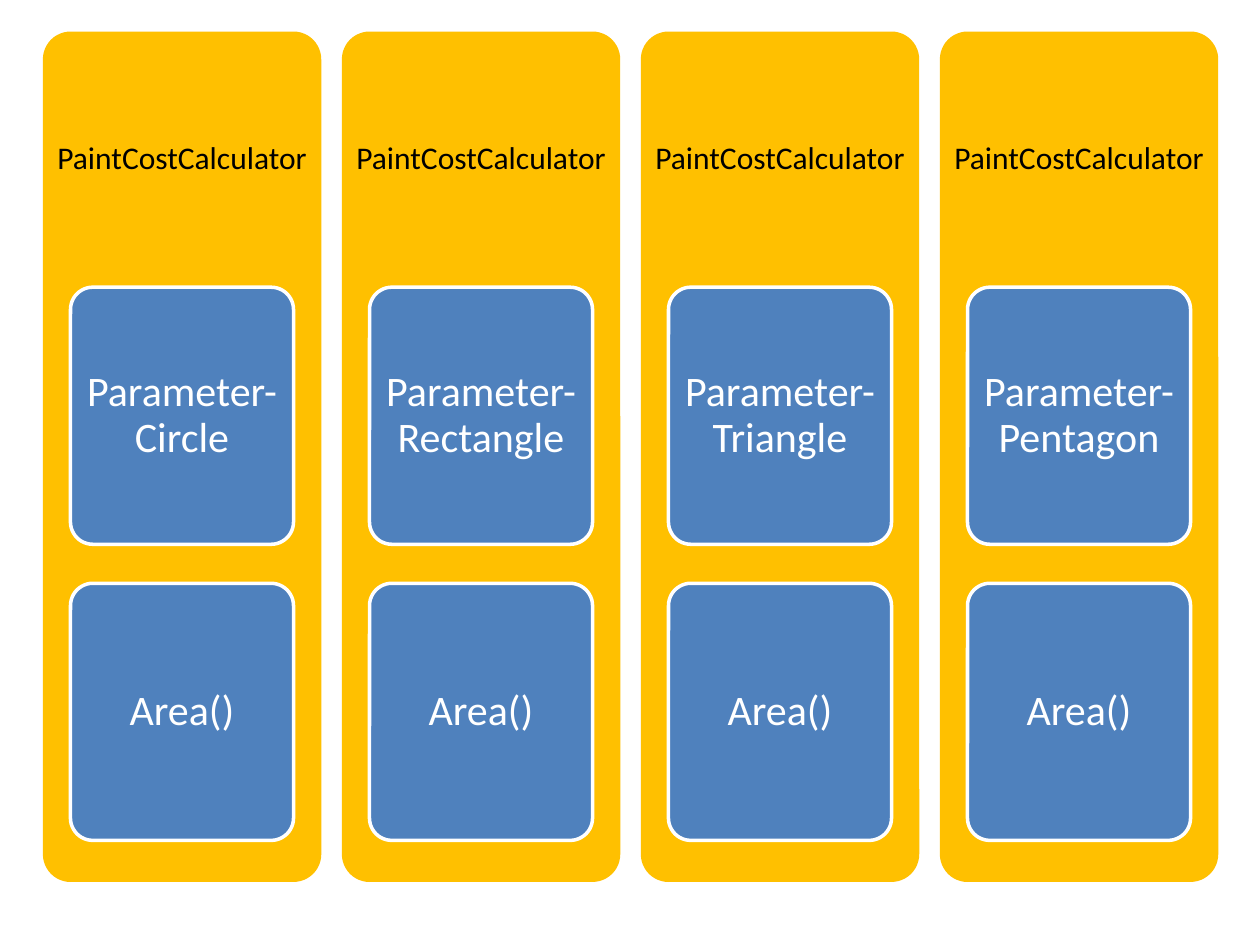
from pptx import Presentation
from pptx.dml.color import RGBColor
from pptx.enum.shapes import MSO_SHAPE
from pptx.enum.text import MSO_ANCHOR, PP_ALIGN
from pptx.util import Inches, Pt

ROUNDED = MSO_SHAPE.ROUNDED_RECTANGLE
MIDDLE = MSO_ANCHOR.MIDDLE
CENTER = PP_ALIGN.CENTER

COLORS = {"column": "FFC000", "tile": "4F81BD", "white": "FFFFFF", "black": "000000"}
FIGURES = ["Circle", "Rectangle", "Triangle", "Pentagon"]

COLUMN_LEFT, COLUMN_TOP, COLUMN_PITCH = 0.34, 0.25, 2.373
COLUMN_WIDTH, COLUMN_HEIGHT, HEADING_HEIGHT = 2.21, 6.75, 2.02
TILE_INDENT, TILE_TOP, TILE_PITCH = 0.22, 2.28, 2.35
TILE_WIDTH, TILE_HEIGHT = 1.77, 2.04


def color(name):
    return RGBColor.from_string(COLORS[name])


def set_attributes(target, values):
    for attribute, value in values.items():
        setattr(target, attribute, value)


def write_label(frame, text, size, color_name, inset_y):
    set_attributes(frame, {
        "word_wrap": True,
        "vertical_anchor": MIDDLE,
        "margin_left": Inches(0.07),
        "margin_right": Inches(0.07),
        "margin_top": Inches(inset_y),
        "margin_bottom": Inches(inset_y),
    })
    paragraph = frame.paragraphs[0]
    set_attributes(paragraph, {"text": text, "alignment": CENTER, "line_spacing": 0.9})
    font = paragraph.runs[0].font
    set_attributes(font, {"name": "Calibri", "size": Pt(size)})
    font.color.rgb = color(color_name)


def add_panel(slide, box, fill_name):
    panel = slide.shapes.add_shape(ROUNDED, *map(Inches, box))
    panel.adjustments[0] = 0.1
    panel.shadow.inherit = False
    panel.fill.solid()
    panel.fill.fore_color.rgb = color(fill_name)
    panel.line.fill.background()
    return panel


def add_heading(slide, box, text):
    heading = slide.shapes.add_textbox(*map(Inches, box))
    write_label(heading.text_frame, text, 18, "black", 0.07)


def add_tile(slide, box, text):
    tile = add_panel(slide, box, "tile")
    tile.line.color.rgb = color("white")
    tile.line.width = Pt(2)
    write_label(tile.text_frame, text, 24, "white", 0.05)


def add_column(slide, left, figure):
    add_panel(slide, (left, COLUMN_TOP, COLUMN_WIDTH, COLUMN_HEIGHT), "column")
    add_heading(slide, (left, COLUMN_TOP, COLUMN_WIDTH, HEADING_HEIGHT), "PaintCostCalculator")
    for row, text in enumerate([f"Parameter-{figure}", "Area()"]):
        top = TILE_TOP + row * TILE_PITCH
        add_tile(slide, (left + TILE_INDENT, top, TILE_WIDTH, TILE_HEIGHT), text)


def main():
    deck = Presentation()
    set_attributes(deck, {"slide_width": Inches(10), "slide_height": Inches(7.5)})
    slide = deck.slides.add_slide(deck.slide_layouts[6])
    for index, figure in enumerate(FIGURES):
        add_column(slide, COLUMN_LEFT + index * COLUMN_PITCH, figure)
    deck.save("out.pptx")


main()
